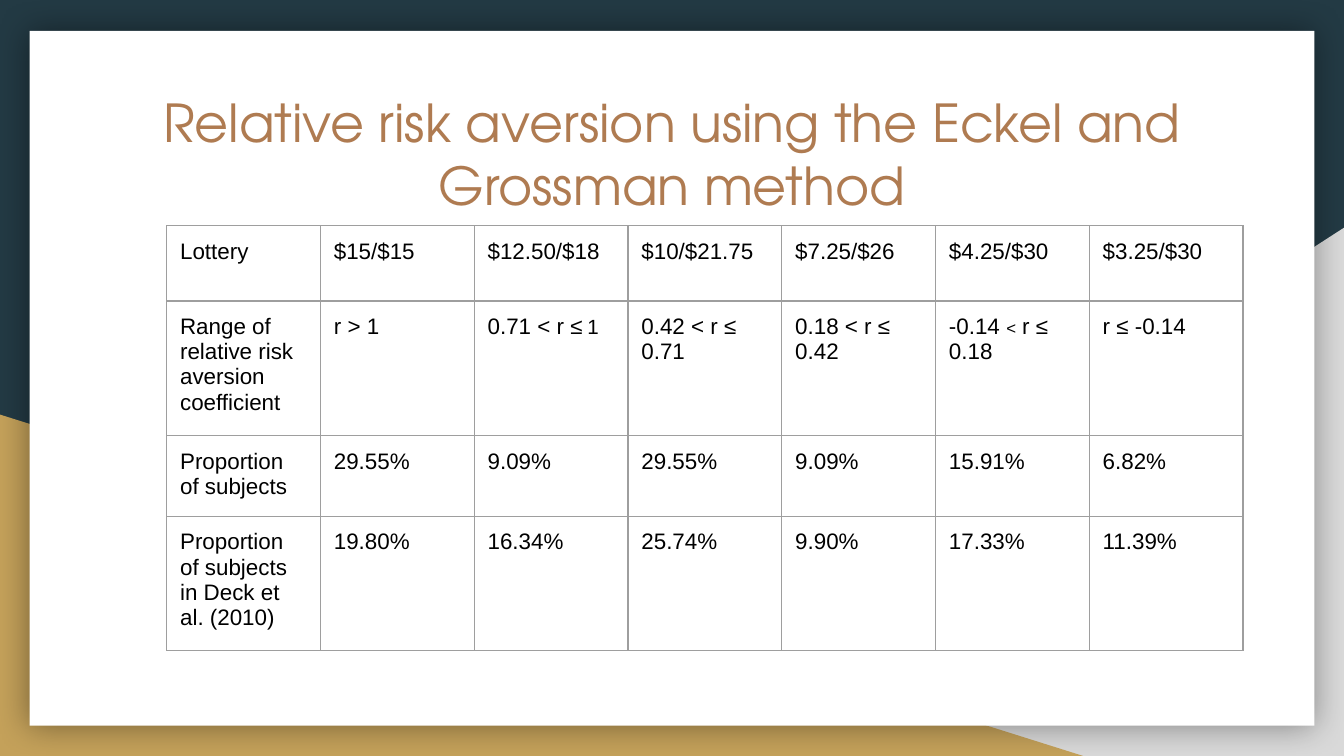
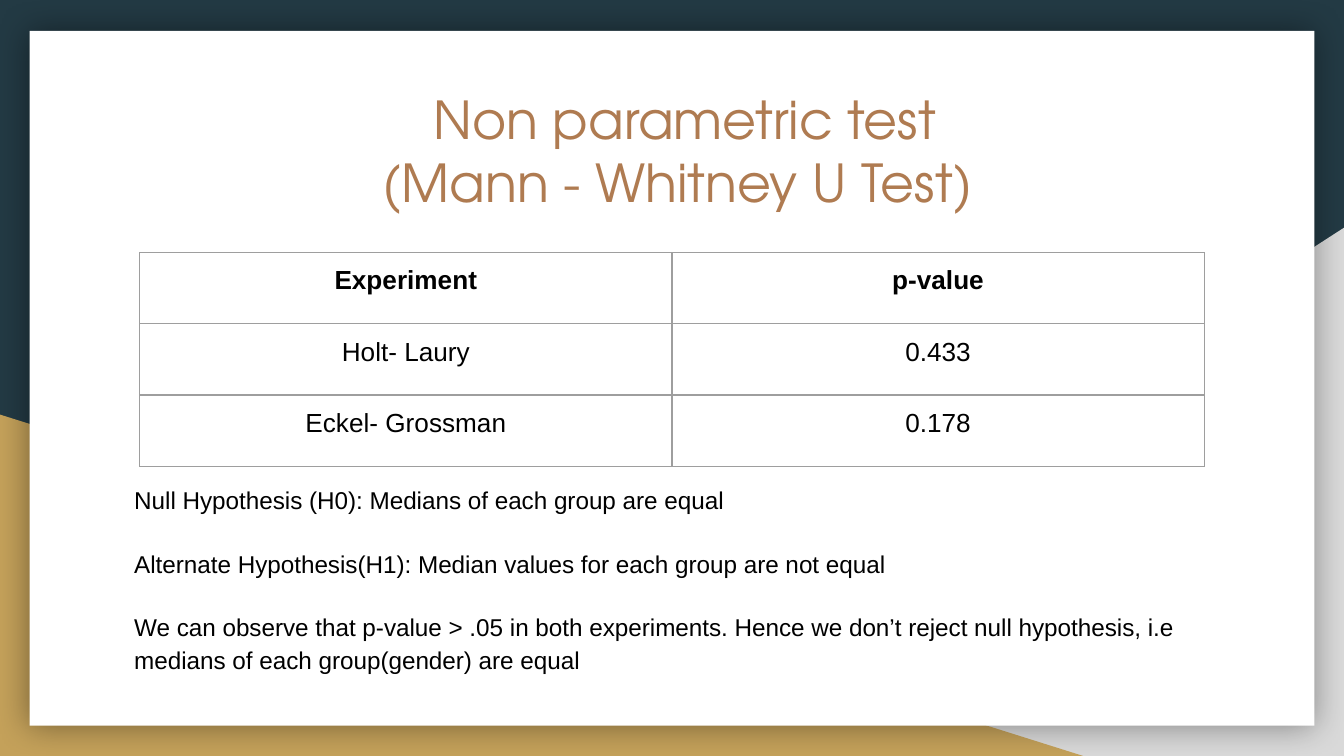
from lxml import etree
from pptx import Presentation
from pptx.dml.color import RGBColor
from pptx.enum.shapes import MSO_SHAPE
from pptx.enum.text import MSO_ANCHOR, PP_ALIGN
from pptx.oxml.ns import qn
from pptx.util import Inches, Pt

COLORS = {
    "navy": "233A44", "gold": "C4A15A", "gray": "D9D9D9", "white": "FFFFFF",
    "bronze": "AF7B51", "black": "000000", "border": "9E9E9E",
}
TRIANGLE, RECTANGLE = MSO_SHAPE.RIGHT_TRIANGLE, MSO_SHAPE.RECTANGLE
LEFT, CENTER, TOP = PP_ALIGN.LEFT, PP_ALIGN.CENTER, MSO_ANCHOR.TOP
SLIDE_BOX = (0, 0, 10, 10 * 9 / 16)
MARGIN = Inches(0.1)
INSETS = {"margin_left": MARGIN, "margin_right": MARGIN,
          "margin_top": MARGIN, "margin_bottom": MARGIN,
          "vertical_anchor": TOP}
TITLE_FONT = {"name": "TeX Gyre Adventor", "size": Pt(28), "color": "bronze"}
BODY_FONT = {"name": "Arial", "size": Pt(13), "color": "black"}
SMALL, MEDIUM = 9, 11


def rgb(name):
    """Return a palette colour."""
    return RGBColor.from_string(COLORS[name])


def set_attributes(target, values):
    """Set each named attribute on the target."""
    for name, value in values.items():
        setattr(target, name, value)


def add_run(paragraph, text, font):
    """Add a run formatted from a dict of font values."""
    run = paragraph.add_run()
    run.text = text
    set_attributes(run.font, {k: v for k, v in font.items() if k != "color"})
    run.font.color.rgb = rgb(font["color"])


def add_text(slide, box, lines, font, paragraph_format, gap=0):
    """Add a text box with one paragraph per line, a gap between them."""
    shape = slide.shapes.add_textbox(*map(Inches, box))
    frame = shape.text_frame
    set_attributes(frame, {"word_wrap": True, **INSETS})
    for index, line in enumerate(lines):
        paragraph = frame.add_paragraph() if index else frame.paragraphs[0]
        set_attributes(paragraph, paragraph_format)
        if index and gap:
            paragraph.space_before = Pt(gap)
        add_run(paragraph, line, font)


def add_panel(slide, kind, box, color):
    """Add a filled preset shape without outline or shadow."""
    shape = slide.shapes.add_shape(kind, *map(Inches, box))
    shape.shadow.inherit = False
    shape.fill.solid()
    shape.fill.fore_color.rgb = rgb(color)
    shape.line.fill.background()
    return shape


def add_glow(shape, color, alpha, blur):
    """Give a shape a centred soft shadow."""
    effects = shape.element.spPr.find(qn("a:effectLst"))
    shadow = etree.SubElement(effects, qn("a:outerShdw"), blurRad=str(Pt(blur)),
                              dist="0", dir="0", algn="ctr", rotWithShape="0")
    tone = etree.SubElement(shadow, qn("a:srgbClr"), val=COLORS[color])
    etree.SubElement(tone, qn("a:alpha"), val=str(alpha * 1000))


def add_backdrop(slide, box):
    """Draw the navy ground, corner triangles and white sheet."""
    left, top, width, height = box
    right, bottom = left + width, top + height
    slide.background.fill.solid()
    slide.background.fill.fore_color.rgb = rgb("navy")
    gray = add_panel(slide, TRIANGLE, (right - 6.08, bottom - 3.93, 6.08, 3.93), "gray")
    gray.element.spPr.find(qn("a:xfrm")).set("flipH", "1")
    add_panel(slide, TRIANGLE, (left, bottom - 2.54, 8.06, 2.54), "gold")
    sheet = add_panel(slide, RECTANGLE,
                      (left + 0.22, top + 0.23, width - 0.44, 5.17), "white")
    add_glow(sheet, "black", 40, 18)


def add_title(slide, box, lines):
    """Add the centred slide title."""
    add_text(slide, box, lines, TITLE_FONT, {"alignment": CENTER})


def add_borders(cell):
    """Outline all four sides of a cell."""
    properties = cell._tc.get_or_add_tcPr()
    for index, side in enumerate(("a:lnL", "a:lnR", "a:lnT", "a:lnB")):
        line = etree.Element(qn(side), w=str(Pt(0.75)))
        fill = etree.SubElement(line, qn("a:solidFill"))
        etree.SubElement(fill, qn("a:srgbClr"), val=COLORS["border"])
        properties.insert(index, line)


def fill_cell(cell, value, size, alignment, bold):
    """Write text or sized runs into a bordered cell."""
    set_attributes(cell, INSETS)
    cell.fill.background()
    add_borders(cell)
    paragraph = cell.text_frame.paragraphs[0]
    set_attributes(paragraph, {"alignment": alignment, "line_spacing": 1.0,
                               "space_before": Pt(0), "space_after": Pt(0)})
    runs = [(value, size)] if isinstance(value, str) else value
    for text, points in runs:
        add_run(paragraph, text, {**BODY_FONT, "size": Pt(points), "bold": bold})
    etree.SubElement(paragraph._p, qn("a:endParaRPr"), sz=str(size * 100))


def add_grid(slide, box, rows, heights, size, alignment, bold_header=False):
    """Add a table with equal columns."""
    count = len(rows[0])
    table = slide.shapes.add_table(len(rows), count, *map(Inches, box)).table
    set_attributes(table, {"first_row": False, "horz_banding": False})
    for column in table.columns:
        column.width = Inches(box[2] / count)
    for row_index, (values, height) in enumerate(zip(rows, heights)):
        table.rows[row_index].height = Inches(height)
        for column_index, value in enumerate(values):
            fill_cell(table.cell(row_index, column_index), value, size, alignment,
                      bold_header and row_index == 0)


def build_risk_slide(slide, box):
    """Fill the slide on relative risk aversion."""
    left, top = box[:2]
    add_backdrop(slide, box)
    add_title(slide, (left + 0.9, top + 0.57, 8.2, 1.04),
              ["Relative risk aversion using the Eckel and Grossman method"])
    rows = [
        ["Lottery", "$15/$15", "$12.50/$18", "$10/$21.75", "$7.25/$26",
         "$4.25/$30", "$3.25/$30"],
        ["Range of relative risk aversion coefficient", "r > 1",
         [("0.71 < r ≤", 12), (" ", SMALL), ("1", MEDIUM)],
         [("0.42 < r ≤", 12), (" ", SMALL), ("0.71 ", 12)],
         "0.18 < r ≤ 0.42",
         [("-0.14 ", 12), ("<", SMALL), (" r ≤ 0.18", 12)],
         "r ≤ -0.14 "],
        ["Proportion of subjects", "29.55%", "9.09%", "29.55%", "9.09%",
         "15.91%", "6.82%"],
        ["Proportion of subjects in Deck et al. (2010)", "19.80%", "16.34%",
         "25.74%", "9.90%", "17.33%", "11.39%"],
    ]
    heights = [0.56, 0.98, 0.56, 0.95]
    add_grid(slide, (left + 1.24, top + 1.68, 8.01, sum(heights)), rows, heights,
             12, LEFT)


def build_test_slide(slide, box):
    """Fill the slide on the non parametric test."""
    left, top = box[:2]
    add_backdrop(slide, box)
    add_title(slide, (left + 0.99, top + 0.55, 8.21, 1.04),
              ["Non parametric test", "(Mann - Whitney U Test) "])
    add_text(slide, (left + 0.9, top + 3.48, 8.21, 1.65), [
        "Null Hypothesis (H0): Medians of each group are equal",
        "Alternate Hypothesis(H1): Median values for each group are not equal",
        "We can observe that p-value > .05 in both experiments. Hence we don’t "
        "reject null hypothesis, i.e medians of each group(gender) are equal",
    ], BODY_FONT, {"alignment": LEFT, "line_spacing": 1.15}, gap=16)
    rows = [["Experiment", "p-value"], ["Holt- Laury", "0.433"],
            ["Eckel- Grossman", "0.178"]]
    heights = [0.53] * len(rows)
    add_grid(slide, (left + 1.04, top + 1.88, 7.92, sum(heights)), rows, heights,
             14, CENTER, bold_header=True)


def main():
    """Build and save the presentation."""
    presentation = Presentation()
    presentation.slide_width, presentation.slide_height = map(Inches, SLIDE_BOX[2:])
    blank = presentation.slide_layouts[6]
    for build in (build_risk_slide, build_test_slide):
        build(presentation.slides.add_slide(blank), SLIDE_BOX)
    presentation.save("out.pptx")


main()
